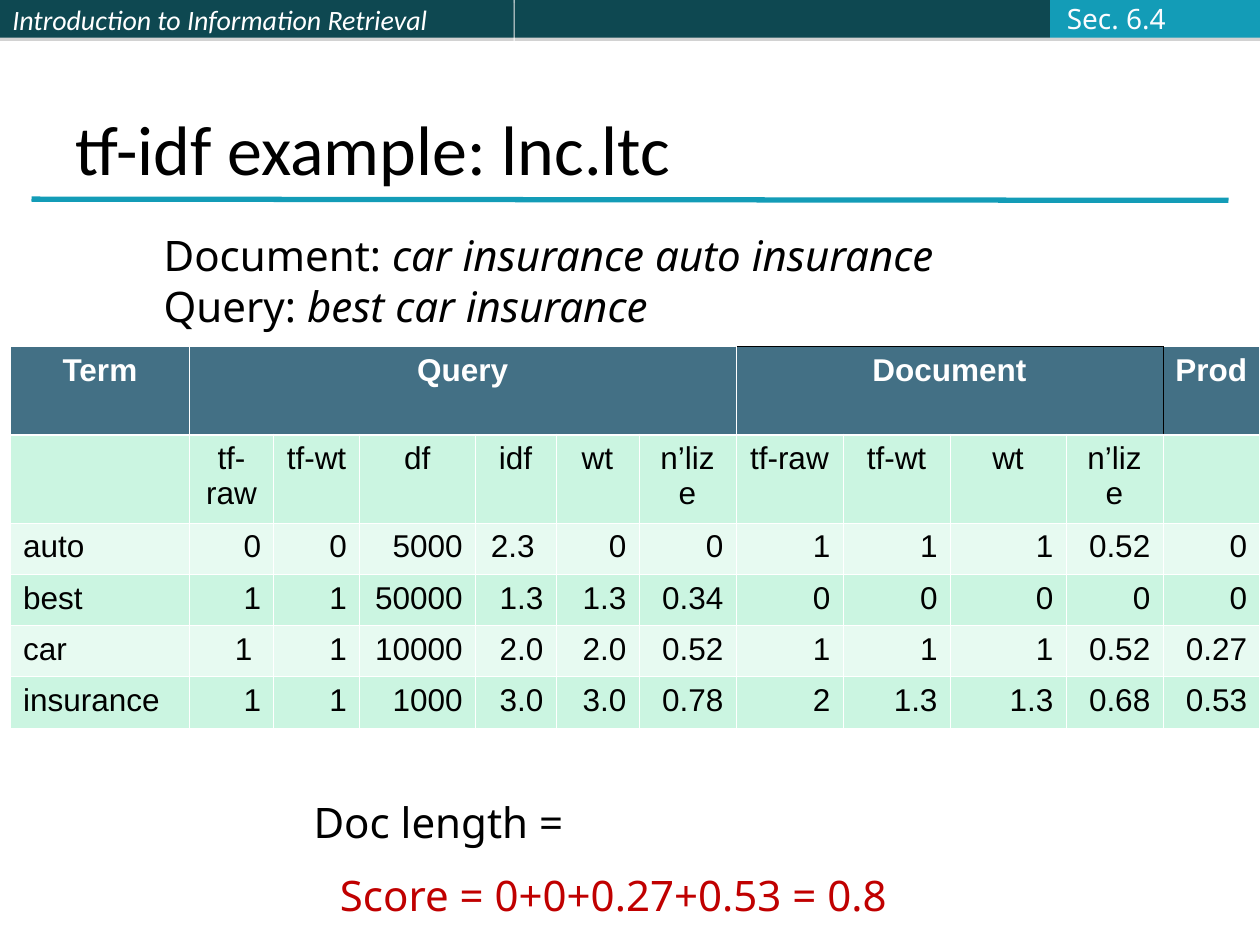
import pptx
import pptx.dml.color
import pptx.enum.shapes
import pptx.enum.text
import pptx.oxml
import pptx.oxml.ns
import pptx.util

Pt = pptx.util.Pt
ALIGN = pptx.enum.text.PP_ALIGN
ANCHOR = pptx.enum.text.MSO_ANCHOR
NAMESPACE = pptx.oxml.ns.nsdecls("a")
COLORS = {
    "bar": "0E4851",
    "accent": "139CB7",
    "shadow": "808080",
    "header": "437085",
    "band_dark": "CBF5E1",
    "band_light": "E7FAF1",
    "black": "000000",
    "white": "FFFFFF",
    "section": "FBFCFF",
    "score": "C00000",
}


def color(name):
    return pptx.dml.color.RGBColor.from_string(COLORS[name])


def add_run(paragraph, text, size, font, color_name, bold=False, italic=False):
    run = paragraph.add_run()
    run.text = text
    run.font.size = Pt(size)
    run.font.name = font
    run.font.color.rgb = color(color_name)
    run.font.bold = bold
    run.font.italic = italic


presentation = pptx.Presentation()
presentation.slide_width = Pt(720)
presentation.slide_height = Pt(540)
slide = presentation.slides.add_slide(presentation.slide_layouts[6])

bars = [
    (0, 293.6, "bar", "Introduction to Information Retrieval"),
    (294, 306, "bar", ""),
    (600, 120, "accent", ""),
]
for left, width, fill, text in bars:
    bar = slide.shapes.add_shape(
        pptx.enum.shapes.MSO_SHAPE.RECTANGLE, Pt(left), 0, Pt(width), Pt(21.6)
    )
    bar.fill.solid()
    bar.fill.fore_color.rgb = color(fill)
    bar.line.fill.background()
    bar.shadow.inherit = False
    effects = bar._element.spPr.find(pptx.oxml.ns.qn("a:effectLst"))
    effects.append(pptx.oxml.parse_xml(
        f'<a:outerShdw {NAMESPACE} blurRad="0" dist="{Pt(1.8)}" dir="5400000" rotWithShape="0">'
        f'<a:srgbClr val="{COLORS["shadow"]}"><a:alpha val="35000"/></a:srgbClr></a:outerShdw>'
    ))
    if text:
        bar.text_frame.vertical_anchor = ANCHOR.MIDDLE
        paragraph = bar.text_frame.paragraphs[0]
        paragraph.alignment = ALIGN.LEFT
        add_run(paragraph, text, 16, "Calibri", "white", italic=True)

rule = slide.shapes.add_connector(
    pptx.enum.shapes.MSO_CONNECTOR.STRAIGHT, Pt(18), Pt(113.8), Pt(702), Pt(114.5)
)
rule.line.color.rgb = color("accent")
rule.line.width = Pt(3)
rule._element.spPr.append(pptx.oxml.parse_xml(f"<a:effectLst {NAMESPACE}/>"))

title = slide.shapes.add_textbox(Pt(36), Pt(21.6), Pt(648), Pt(90))
title.text_frame.word_wrap = True
title.text_frame.vertical_anchor = ANCHOR.BOTTOM
add_run(title.text_frame.paragraphs[0], "tf-idf example: lnc.ltc", 40, "Calibri", "black")

column_widths = [102.2, 48.2, 49, 66.2, 46.1, 47.5, 55.4, 61.2, 61.2, 66.2, 55.4, 55.4]
row_heights = [50.4, 50.4, 29.3, 29.3, 29.3, 29.3]
rows = [
    ["Term", "Query", "", "", "", "", "", "Document", "", "", "", "Prod"],
    ["", "tf-raw", "tf-wt", "df", "idf", "wt", "n’lize", "tf-raw", "tf-wt", "wt", "n’lize", ""],
    ["auto", "0", "0", "5000", "2.3 ", "0", "0", "1", "1", "1", "0.52", "0"],
    ["best", "1", "1", "50000", "1.3", "1.3", "0.34", "0", "0", "0", "0", "0"],
    ["car", "1 ", "1", "10000", "2.0", "2.0", "0.52", "1", "1", "1", "0.52", "0.27"],
    ["insurance", "1", "1", "1000", "3.0", "3.0", "0.78", "2", "1.3", "1.3", "0.68", "0.53"],
]
document_columns = range(7, 11)
table = slide.shapes.add_table(
    len(rows), len(column_widths), Pt(6), Pt(198), Pt(sum(column_widths)), Pt(sum(row_heights))
).table
for column, width in zip(table.columns, column_widths):
    column.width = Pt(width)
for row, height in zip(table.rows, row_heights):
    row.height = Pt(height)
for first, last in [(1, 6), (7, 10)]:
    table.cell(0, first).merge(table.cell(0, last))

for row_index, values in enumerate(rows):
    for column_index, text in enumerate(values):
        cell = table.cell(row_index, column_index)
        is_header = row_index == 0
        in_document = is_header and column_index in document_columns
        borders = {side: ("white", 0.45) for side in ("L", "R", "T", "B")}
        if is_header:
            borders["B"] = ("white", 1.47)
        if row_index == 1:
            borders["T"] = ("white", 1.47)
        if in_document:
            borders["T"] = ("black", 0.45)
            borders["R"] = ("black", 0.45)
        if is_header and column_index == 11:
            borders["L"] = ("black", 0.45)
        for side, (line_color, line_width) in borders.items():
            cell._tc.get_or_add_tcPr().append(pptx.oxml.parse_xml(
                f'<a:ln{side} {NAMESPACE} w="{Pt(line_width)}"><a:solidFill>'
                f'<a:srgbClr val="{COLORS[line_color]}"/></a:solidFill></a:ln{side}>'
            ))
        cell.fill.solid()
        band = "band_dark" if row_index % 2 else "band_light"
        cell.fill.fore_color.rgb = color("header" if is_header else band)
        if text:
            paragraph = cell.text_frame.paragraphs[0]
            if row_index < 2:
                paragraph.alignment = ALIGN.CENTER
            else:
                paragraph.alignment = ALIGN.RIGHT if column_index else ALIGN.LEFT
            text_color = "white" if is_header else "black"
            add_run(paragraph, text, 18, "Arial", text_color, bold=is_header)

notes = [
    (86.4, 126, 455, 64.8, "black", [
        [("Document: ", False), ("car insurance auto insurance", True)],
        [("Query: ", False), ("best car insurance", True)],
    ]),
    (187.2, 491.8, 326.9, 36, "score", [[("Score = 0+0+0.27+0.53 = 0.8", False)]]),
    (172.1, 450, 157, 36, "black", [[("Doc length =", False)]]),
]
for left, top, width, height, text_color, lines in notes:
    note = slide.shapes.add_textbox(Pt(left), Pt(top), Pt(width), Pt(height))
    frame = note.text_frame
    frame.word_wrap = False
    frame.margin_top = Pt(5)
    for index, line in enumerate(lines):
        paragraph = frame.add_paragraph() if index else frame.paragraphs[0]
        paragraph.line_spacing = Pt(29)
        for text, italic in line:
            add_run(paragraph, text, 24, "Noto Sans", text_color, italic=italic)

section = slide.shapes.add_textbox(Pt(602.6), Pt(-2.9), Pt(70.6), Pt(26.6))
section.text_frame.word_wrap = False
section.text_frame.vertical_anchor = ANCHOR.MIDDLE
add_run(section.text_frame.paragraphs[0], "Sec. 6.4", 16, "Noto Sans", "section")

presentation.save("out.pptx")
